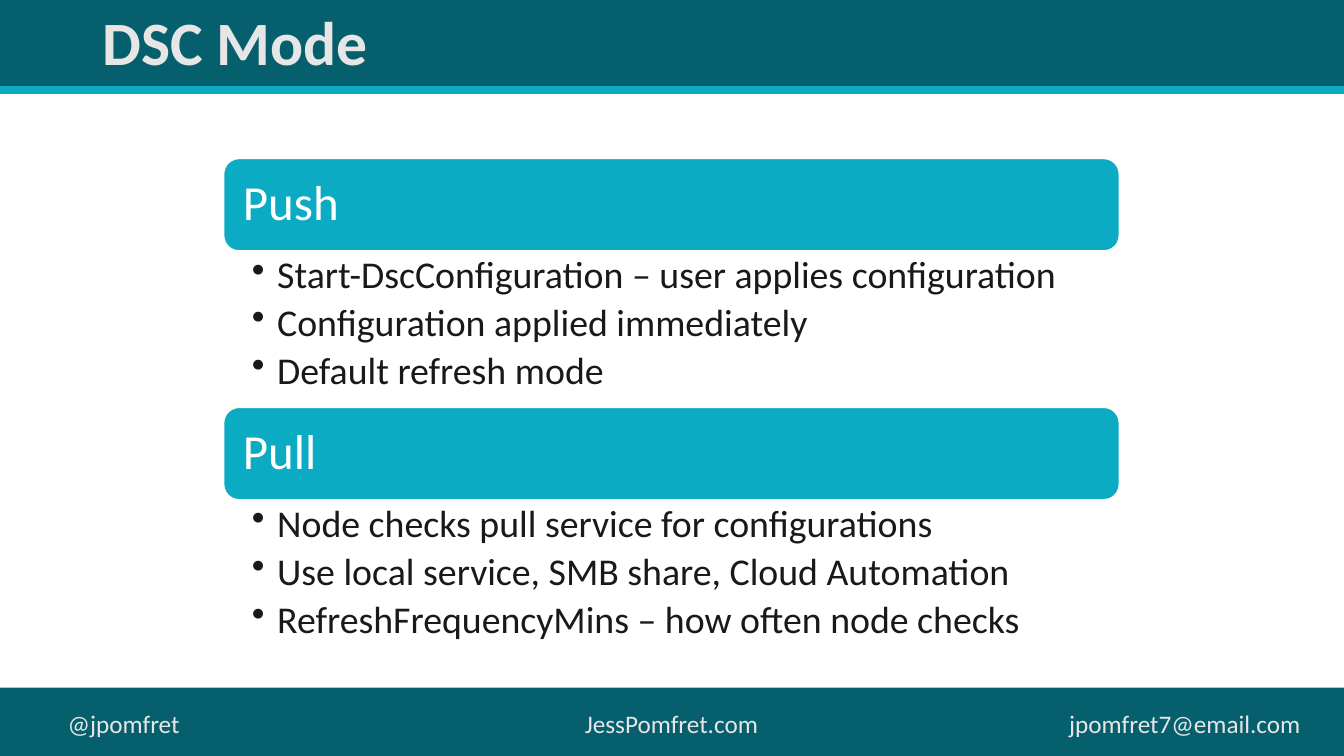
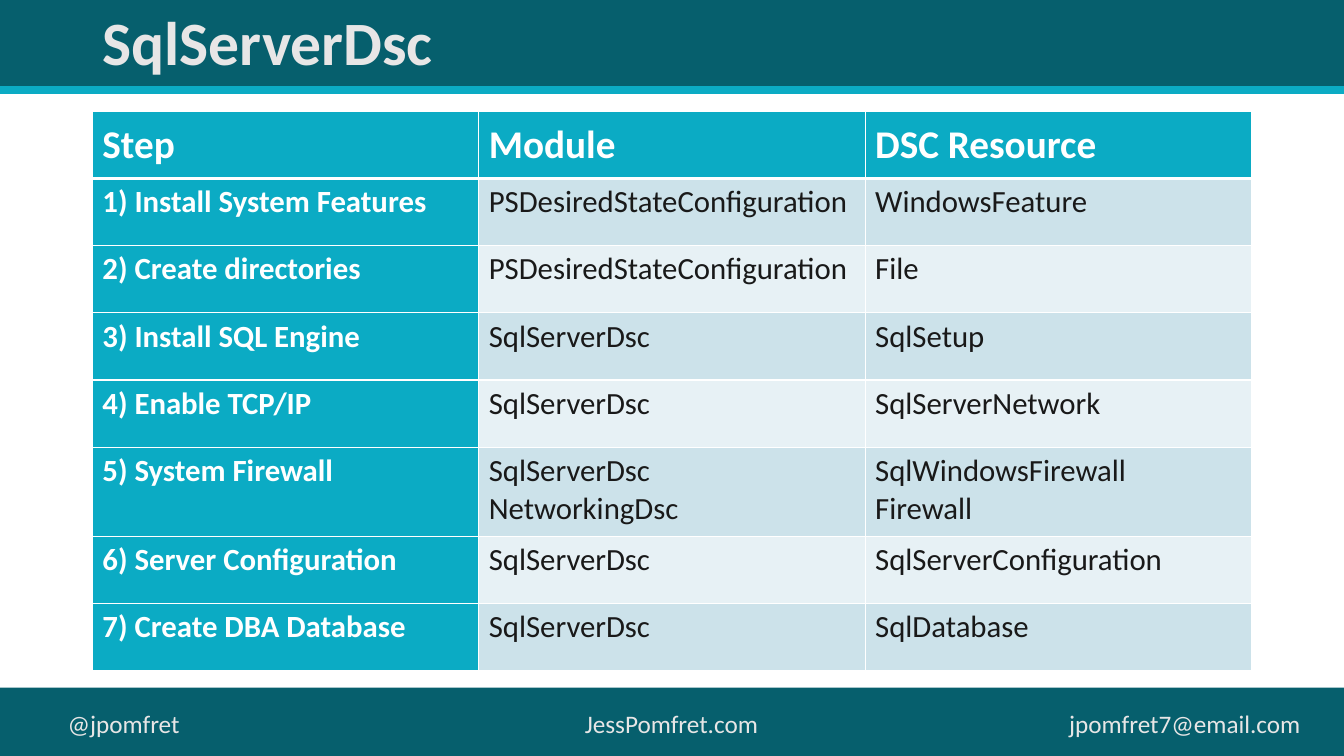
from dataclasses import dataclass

from lxml.etree import SubElement
from pptx import Presentation
from pptx.dml.color import RGBColor
from pptx.enum.shapes import MSO_CONNECTOR, MSO_SHAPE
from pptx.enum.text import MSO_ANCHOR, MSO_AUTO_SIZE, PP_ALIGN
from pptx.oxml import parse_xml
from pptx.oxml.ns import nsdecls, qn
from pptx.util import Pt

PX = 9525
WIDE, HIGH = 1280, 720


@dataclass(frozen=True)
class Theme:
    font: str = "Calibri"
    dark: RGBColor = RGBColor(0x06, 0x5F, 0x6D)
    teal: RGBColor = RGBColor(0x0B, 0xAB, 0xC4)
    pale: RGBColor = RGBColor(0xE7, 0xE6, 0xE6)
    white: RGBColor = RGBColor(0xFF, 0xFF, 0xFF)
    ink: RGBColor = RGBColor(0x19, 0x19, 0x19)
    bands: tuple = (RGBColor(0xCC, 0xE2, 0xEA), RGBColor(0xE7, 0xF1, 0xF5))
    title: int = 44
    head: int = 35
    label: int = 28
    body: int = 27
    cell: int = 22
    foot: int = 18


theme = Theme()


def write(frame, text, size, color, bold=False, align=PP_ALIGN.LEFT,
          line=None, after=None, bullet=None):
    """Fill a text frame, one paragraph for each line of text."""
    frame.word_wrap = True
    for index, words in enumerate(text.split("\n")):
        para = frame.add_paragraph() if index else frame.paragraphs[0]
        para.alignment = align
        para.line_spacing = line
        para.space_after = after
        if bullet:
            props = para._p.get_or_add_pPr()
            props.set("marL", str(24 * PX))
            props.set("indent", str(-24 * PX))
            SubElement(props, qn("a:buChar"), char=bullet)
        run = para.add_run()
        run.text = words
        run.font.name = theme.font
        run.font.size = Pt(size)
        run.font.bold = bold
        run.font.color.rgb = color


def add_box(slide, kind, left, top, width, height, fill):
    box = slide.shapes.add_shape(
        kind, left * PX, top * PX, width * PX, height * PX)
    box.shadow.inherit = False
    box.fill.solid()
    box.fill.fore_color.rgb = fill
    box.line.fill.background()
    return box


deck = Presentation()
deck.slide_width, deck.slide_height = WIDE * PX, HIGH * PX
layout = deck.slide_layouts[5]
for holder in list(layout.placeholders)[1:]:
    layout.shapes.element.remove(holder.element)

# Titles
mode, steps = [deck.slides.add_slide(layout) for _ in range(2)]
for slide, text in ((mode, "DSC Mode"), (steps, "SqlServerDsc")):
    title = slide.shapes.title
    title.left, title.top = 88 * PX, 0
    title.width, title.height = 1104 * PX, 86 * PX
    frame = title.text_frame
    frame.auto_size = MSO_AUTO_SIZE.NONE
    frame.vertical_anchor = MSO_ANCHOR.MIDDLE
    write(frame, text, theme.title, theme.pale, bold=True, line=0.9)

# Bands and footers are drawn on a slide, then moved to the shared layout
shared = [
    add_box(mode, MSO_SHAPE.RECTANGLE, 0, 0, WIDE, 86, theme.dark),
    add_box(mode, MSO_SHAPE.RECTANGLE, 0, 655, WIDE, 65, theme.dark),
]
for left, width, align, text in (
    (55, 149, PP_ALIGN.LEFT, "@jpomfret"),
    (542, 195, PP_ALIGN.CENTER, "JessPomfret.com"),
    (924, 324, PP_ALIGN.RIGHT, "jpomfret7@email.com"),
):
    foot = mode.shapes.add_textbox(left * PX, 670 * PX, width * PX, 38 * PX)
    write(foot.text_frame, text, theme.foot, theme.pale, align=align)
    shared.append(foot)
rule = mode.shapes.add_connector(
    MSO_CONNECTOR.STRAIGHT, 0, 86 * PX, WIDE * PX, 86 * PX)
rule.line.color.rgb = theme.teal
rule.line.width = Pt(6)
SubElement(rule.element.spPr, qn("a:effectLst"))
shared.append(rule)
for part in shared:
    layout.shapes.element.append(part.element)

# Push and pull
modes = (
    ("Push", "Start-DscConfiguration – user applies configuration\n"
             "Configuration applied immediately\n"
             "Default refresh mode"),
    ("Pull", "Node checks pull service for configurations\n"
             "Use local service, SMB share, Cloud Automation\n"
             "RefreshFrequencyMins – how often node checks"),
)
for index, (head, points) in enumerate(modes):
    top = 151 + 237 * index
    bar = add_box(mode, MSO_SHAPE.ROUNDED_RECTANGLE,
                  213, top, 853, 88, theme.teal)
    bar.line.color.rgb = theme.white
    bar.line.width = Pt(1)
    frame = bar.text_frame
    frame.margin_left = frame.margin_right = 14 * PX
    frame.vertical_anchor = MSO_ANCHOR.MIDDLE
    write(frame, head, theme.head, theme.white, line=0.9)

    body = mode.shapes.add_textbox(
        213 * PX, (top + 88) * PX, 853 * PX, 149 * PX)
    frame = body.text_frame
    frame.margin_left = frame.margin_right = 27 * PX
    write(frame, points, theme.body, theme.ink,
          line=0.9, after=Pt(5), bullet="•")

# Steps table
rows = (
    ("Step", "Module", "DSC Resource"),
    ("1) Install System Features", "PSDesiredStateConfiguration",
     "WindowsFeature"),
    ("2) Create directories", "PSDesiredStateConfiguration", "File"),
    ("3) Install SQL Engine", "SqlServerDsc", "SqlSetup"),
    ("4) Enable TCP/IP", "SqlServerDsc", "SqlServerNetwork"),
    ("5) System Firewall", "SqlServerDsc\nNetworkingDsc",
     "SqlWindowsFirewall\nFirewall"),
    ("6) Server Configuration", "SqlServerDsc", "SqlServerConfiguration"),
    ("7) Create DBA Database", "SqlServerDsc", "SqlDatabase"),
)
table = steps.shapes.add_table(
    len(rows), 3, 88 * PX, 106 * PX, 1104 * PX, 533 * PX).table
table.first_row = table.horz_banding = False
for col in table.columns:
    col.width = 368 * PX
for r, row in enumerate(rows):
    double = any("\n" in text for text in row)
    table.rows[r].height = (85 if double else 64) * PX
    for c, text in enumerate(row):
        cell = table.cell(r, c)
        strong = r == 0 or c == 0
        cell.fill.solid()
        cell.fill.fore_color.rgb = (
            theme.teal if strong else theme.bands[(r - 1) % 2])
        if r == 0:
            cell.vertical_anchor = MSO_ANCHOR.MIDDLE
        write(cell.text_frame, text, theme.cell if r else theme.label,
              theme.white if strong else theme.ink, bold=strong)
        for index, side in enumerate("LRTB"):
            thick = (r, side) in ((0, "B"), (1, "T"))
            edge = parse_xml(
                f'<a:ln{side} {nsdecls("a")} w="{Pt(3 if thick else 1)}">'
                f'<a:solidFill><a:srgbClr val="{theme.white}"/></a:solidFill>'
                f'</a:ln{side}>')
            cell._tc.get_or_add_tcPr().insert(index, edge)

deck.save("out.pptx")
